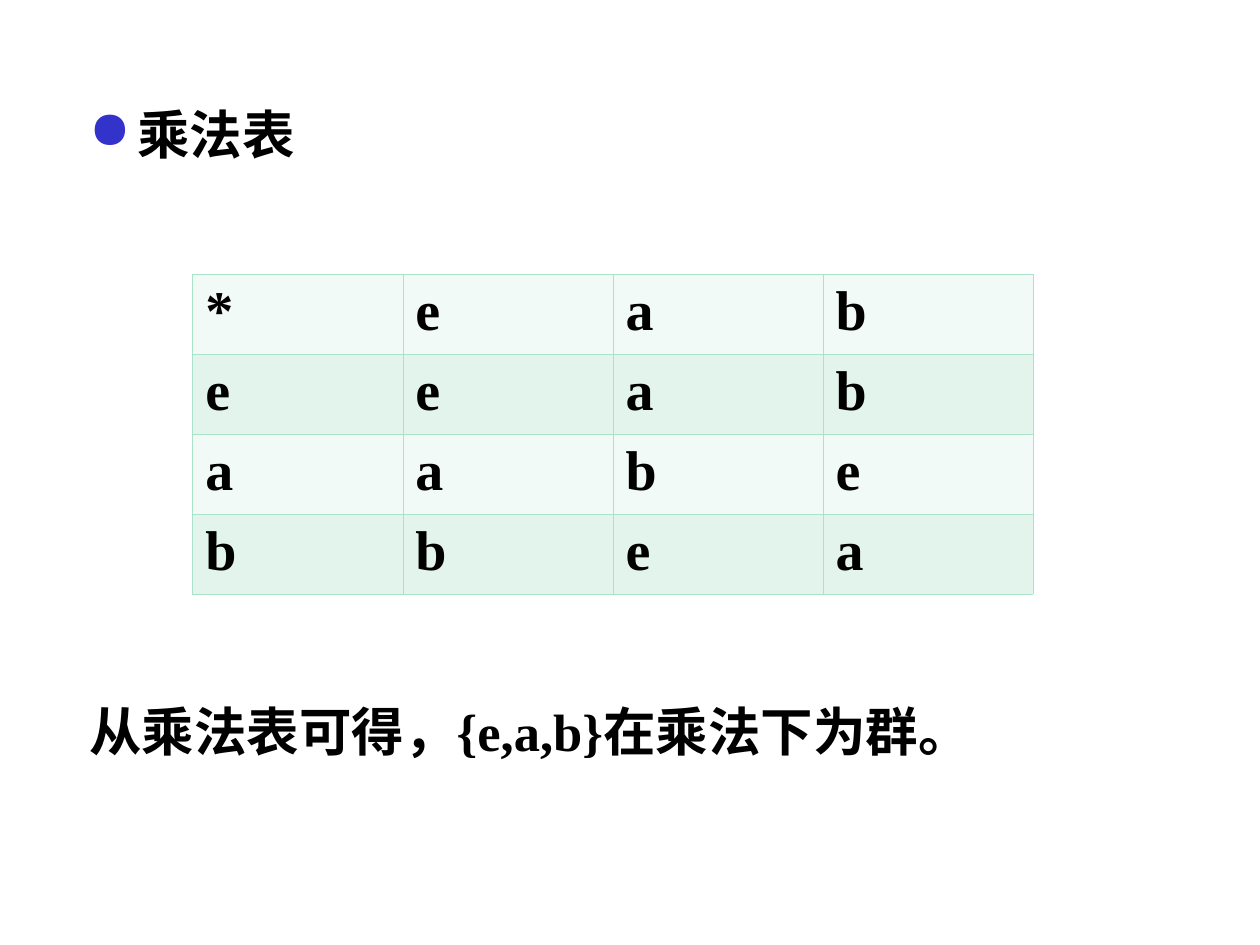
from lxml.etree import SubElement
from pptx import Presentation
from pptx.dml.color import RGBColor as RGB
from pptx.oxml.ns import qn
from pptx.util import Inches, Pt

COLORS = {
    "text": "000000",
    "bullet": "3333CC",
    "border": "AAE2CA",
    "light": "F1FAF6",
    "dark": "E2F4EC",
}
CJK, LATIN = "Noto Sans CJK SC", "Times New Roman"


def add_run(p, text, size, font):
    r = p.add_run()
    r.text = text
    r.font.size = Pt(size)
    r.font.bold = True
    r.font.name = font
    r.font.color.rgb = RGB.from_string(COLORS["text"])
    SubElement(r.font._element, qn("a:ea"), typeface=CJK)


def add_border(tcPr, side):
    ln = SubElement(tcPr, qn(f"a:{side}"), w=str(Pt(0.45)))
    fill = SubElement(ln, qn("a:solidFill"))
    SubElement(fill, qn("a:srgbClr"), val=COLORS["border"])


prs = Presentation()
prs.slide_width, prs.slide_height = Inches(10), Inches(7.5)
s = prs.slides.add_slide(prs.slide_layouts[6])

sp = s.shapes.add_textbox(Inches(0.61), Inches(0.76), Inches(9.08), Inches(5.86))
tf = sp.text_frame
tf.word_wrap = True
title, conclusion = tf.paragraphs[0], tf.add_paragraph()
for p in (title, conclusion):
    pPr = p._p.get_or_add_pPr()
    pPr.set("marL", str(Inches(0.38)))
    pPr.set("indent", str(-Inches(0.38)))

pPr = title._p.get_or_add_pPr()
color = SubElement(pPr, qn("a:buClr"))
SubElement(color, qn("a:srgbClr"), val=COLORS["bullet"])
SubElement(pPr, qn("a:buChar"), char="●")
add_run(title, "乘法表", 30, CJK)

SubElement(conclusion._p.get_or_add_pPr(), qn("a:buNone"))
conclusion.space_before = Pt(305)
add_run(conclusion, "从乘法表可得，{e,a,b}在乘法下为群。", 30, LATIN)

products = ["*eab", "eeab", "aabe", "bbea"]
table = s.shapes.add_table(
    4, 4, Inches(1.53), Inches(2.18), Inches(6.67), Inches(2.53)
).table
table.first_row = False
table.horz_banding = False
for i, row in enumerate(products):
    for j, element in enumerate(row):
        cell = table.cell(i, j)
        tcPr = cell._tc.get_or_add_tcPr()
        for side in ("lnL", "lnR", "lnT", "lnB"):
            add_border(tcPr, side)
        cell.fill.solid()
        cell.fill.fore_color.rgb = RGB.from_string(COLORS["dark" if i % 2 else "light"])
        add_run(cell.text_frame.paragraphs[0], element, 32, LATIN)

prs.save("out.pptx")
